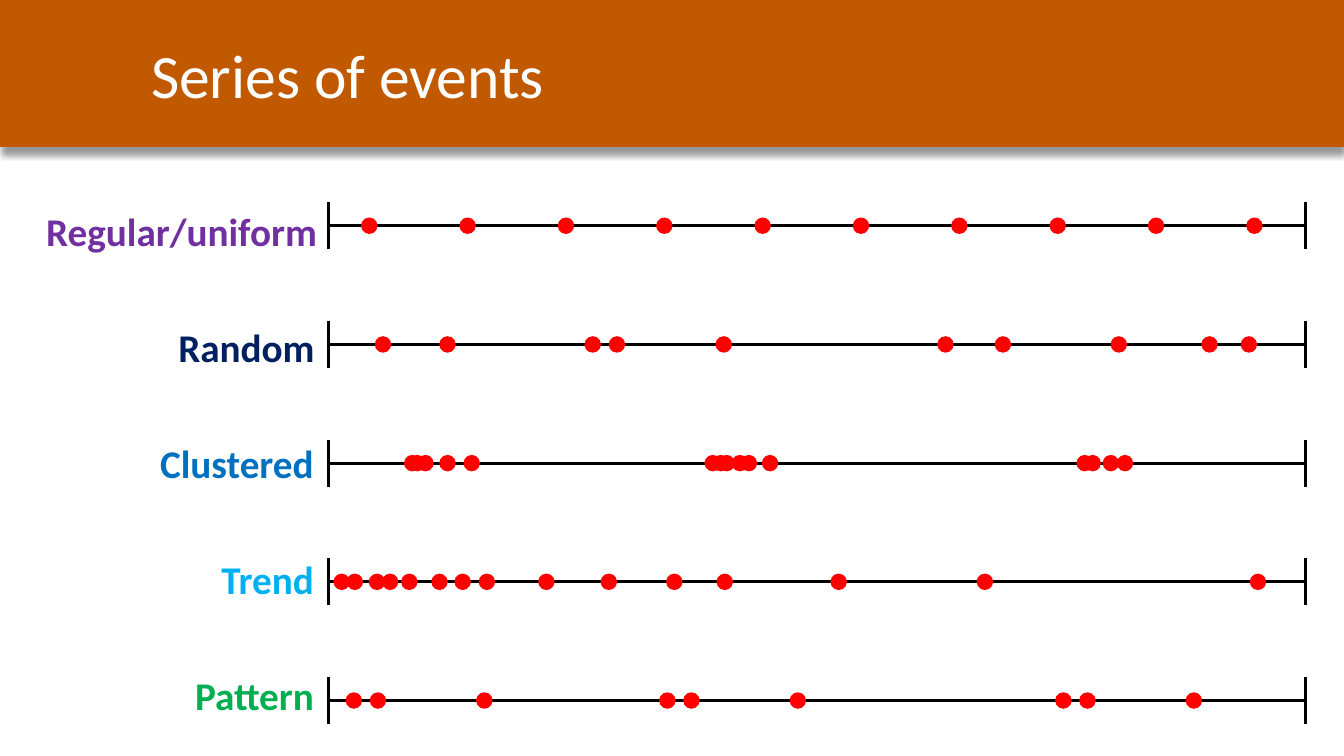
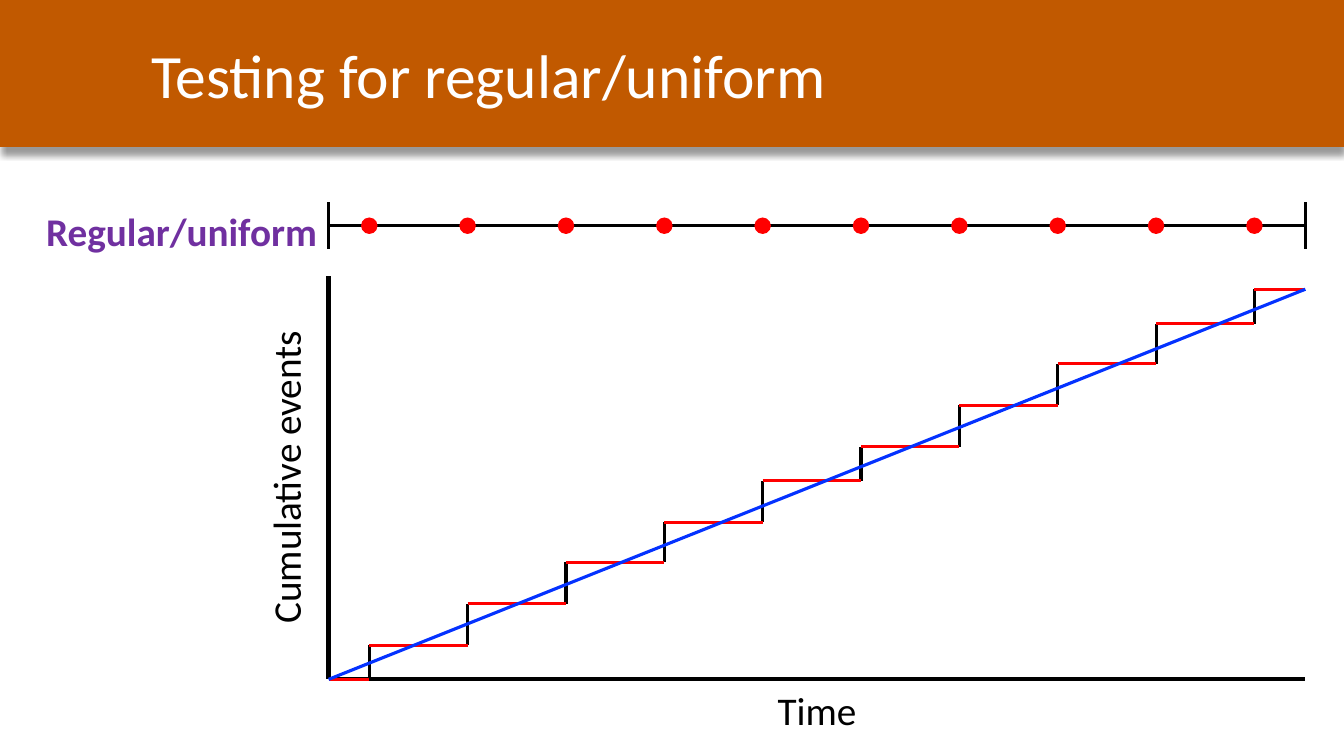
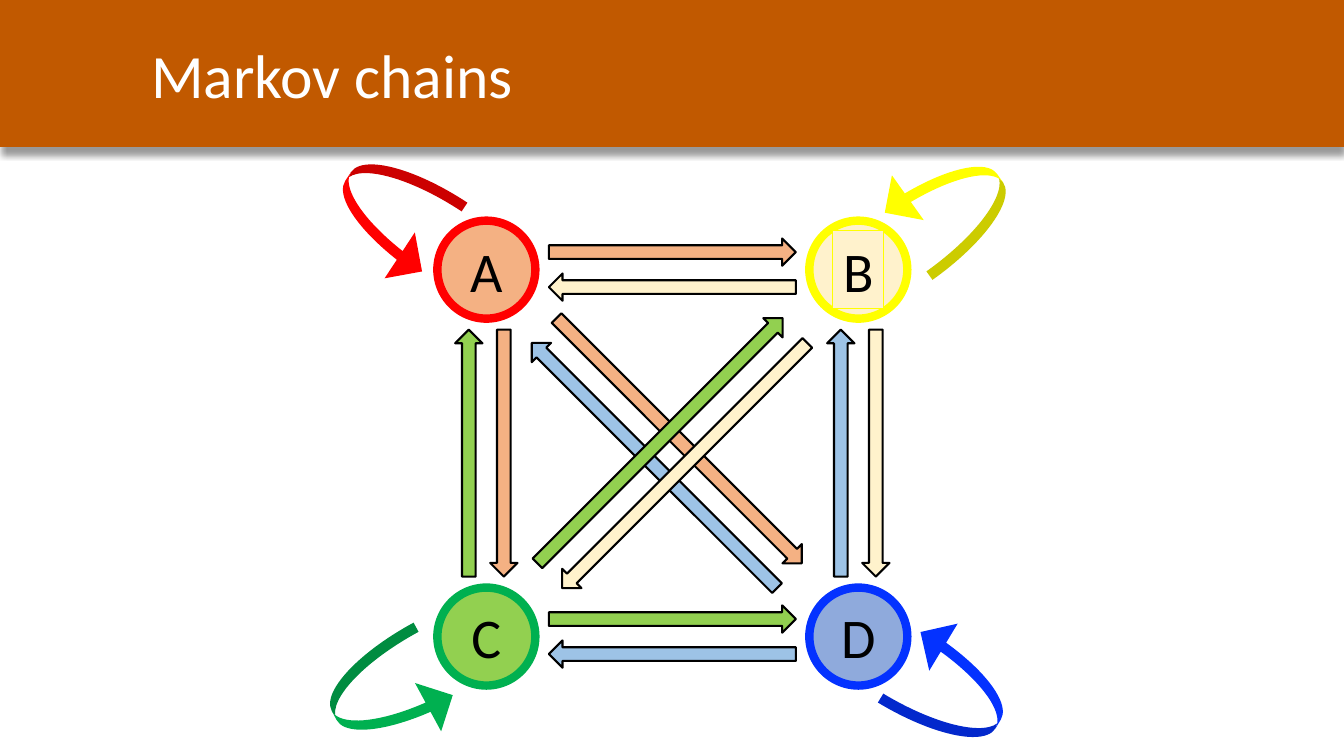
"""Build three slides on series of events and Markov chains."""

import itertools
import math
from dataclasses import dataclass
from typing import Optional

import lxml.etree
import pptx
import pptx.dml.color
import pptx.enum.shapes
import pptx.enum.text
import pptx.oxml.ns
import pptx.util

Pt = pptx.util.Pt
RGB = pptx.dml.color.RGBColor
Preset = pptx.enum.shapes.MSO_SHAPE
Align = pptx.enum.text.PP_ALIGN
qn = pptx.oxml.ns.qn

FONT = "Calibri"
BLACK = RGB(0x00, 0x00, 0x00)
WHITE = RGB(0xFF, 0xFF, 0xFF)
ORANGE = RGB(0xC1, 0x59, 0x00)
RED = RGB(0xFF, 0x00, 0x00)
BLUE = RGB(0x04, 0x32, 0xFF)
YELLOW = RGB(0xFF, 0xFF, 0x00)
GREEN = RGB(0x00, 0xB0, 0x50)
PURPLE = RGB(0x70, 0x30, 0xA0)
NAVY = RGB(0x00, 0x20, 0x60)
MID_BLUE = RGB(0x00, 0x70, 0xC0)
SKY = RGB(0x00, 0xB0, 0xF0)
PEACH = RGB(0xF4, 0xB1, 0x83)
CREAM = RGB(0xFF, 0xF2, 0xCC)
LIME = RGB(0x92, 0xD0, 0x50)
PERIWINKLE = RGB(0x8F, 0xAA, 0xDC)
PALE_BLUE = RGB(0x9D, 0xC3, 0xE6)

SLIDE_WIDTH, SLIDE_HEIGHT = 960, 540
TIME_START, TIME_END = 234.72, 932.4
TRACK_TOP, TRACK_STEP = 161.28, 84.78
LABEL_TOP, LABEL_STEP, LABEL_HEIGHT = 144.72, 82.8, 41.04
TICK_HALF, DOT_SIZE = 16.7, 11.8
AXIS_TOP, AXIS_BOTTOM = 197.28, 485.28
LEVELS = (AXIS_BOTTOM, 460.8, 431.3, 401.8, 373, 343.4, 319, 289.4, 259.9, 231.1, 206.6)
NODE_SIZE, LETTER_HEIGHT = 70, 55.4
LEFT_X, RIGHT_X, UPPER_Y, LOWER_Y = 347.4, 613.1, 192.6, 454.7
ARROW_WIDTH, SIDE_ARROW, DIAGONAL_ARROW, ARROW_OFFSET = 19.5, 176.4, 247.7, 12.5
LOOP_WIDTH, LOOP_HEIGHT = 81.4, 78.5


@dataclass(frozen=True)
class Series:
    """A named series with its label box and event times."""

    name: str
    color: RGB
    label_left: float
    label_width: float
    events: tuple[float, ...]


@dataclass(frozen=True)
class State:
    """A Markov state with its colours and its loop arrow."""

    name: str
    x: float
    y: float
    fill: RGB
    ring: RGB
    arrow: RGB
    letter_width: float
    loop_left: float
    loop_top: float
    loop_rotation: float
    letter_boxed: bool = False


@dataclass(frozen=True)
class Link:
    """Two states joined by a pair of opposite arrows."""

    first: str
    second: str
    length: float
    shift: float = 0


REGULAR = Series("Regular/uniform", PURPLE, 24.48, 210.24,
                 tuple(263.8 + 70.25 * i for i in range(10)))
SERIES = (
    REGULAR,
    Series("Random", NAVY, 119.5, 113,
           (273.6, 319.7, 423.4, 440.7, 517, 675.4, 716.4, 799.2, 864, 892.1)),
    Series("Clustered", MID_BLUE, 106.6, 125.3,
           (294.5, 298.1, 303.9, 319.7, 337, 509.1, 514.8, 519.2, 528.5, 535, 550.1,
            774.8, 780.5, 793.5, 803.6)),
    Series("Trend", SKY, 150.5, 81.4,
           (244.1, 253.5, 269.3, 278.7, 292.4, 314, 330.5, 347.8, 390.3, 434.9, 481.7,
            517.7, 599.1, 703.5, 898.6)),
    Series("Pattern", GREEN, 131, 101.5,
           tuple(start + gap for start in (252.8, 476.7, 759.6) for gap in (0, 17.2, 93.2))),
)

STATES = (
    State("A", LEFT_X, UPPER_Y, PEACH, RED, PEACH, 38.2, 237.6, 115.9, 33.4),
    State("B", RIGHT_X, UPPER_Y, CREAM, YELLOW, CREAM, 36.7, 635.8, 105.1, 144.6, True),
    State("C", LEFT_X, LOWER_Y, LIME, GREEN, LIME, 36, 237.6, 459.4, 331.6),
    State("D", RIGHT_X, LOWER_Y, PERIWINKLE, BLUE, PALE_BLUE, 39.6, 641.5, 450, 211.1),
)
LINKS = (
    Link("C", "D", SIDE_ARROW),
    Link("A", "C", SIDE_ARROW),
    Link("B", "D", SIDE_ARROW),
    Link("A", "B", SIDE_ARROW),
    Link("A", "D", DIAGONAL_ARROW, -4),
    Link("B", "C", DIAGONAL_ARROW),
)


def add_figure(slide, preset, left: float, top: float, width: float, height: float,
               fill: RGB, line: Optional[RGB] = None, line_width: float = 1.5):
    """Add a flat preset shape with an optional outline."""
    figure = slide.shapes.add_shape(preset, Pt(left), Pt(top), Pt(width), Pt(height))
    figure.shadow.inherit = False
    figure.fill.solid()
    figure.fill.fore_color.rgb = fill
    if line is None:
        figure.line.fill.background()
    else:
        figure.line.color.rgb = line
        figure.line.width = Pt(line_width)
    return figure


def add_line(slide, x1: float, y1: float, x2: float, y2: float,
             color: RGB = BLACK, width: float = 2.25) -> None:
    """Add a straight line without a shadow."""
    line = slide.shapes.add_connector(
        pptx.enum.shapes.MSO_CONNECTOR.STRAIGHT, Pt(x1), Pt(y1), Pt(x2), Pt(y2))
    line.line.color.rgb = color
    line.line.width = Pt(width)
    lxml.etree.SubElement(line._element.spPr, qn("a:effectLst"))


def add_text(slide, text: str, left: float, top: float, width: float, height: float,
             size: float = 28, color: RGB = BLACK, bold: bool = False,
             align=Align.CENTER, wrap: bool = False):
    """Add a one-paragraph text box."""
    box = slide.shapes.add_textbox(Pt(left), Pt(top), Pt(width), Pt(height))
    box.text_frame.word_wrap = wrap
    box.text_frame.vertical_anchor = pptx.enum.text.MSO_ANCHOR.MIDDLE
    paragraph = box.text_frame.paragraphs[0]
    paragraph.alignment = align
    run = paragraph.add_run()
    run.text = text
    run.font.name = FONT
    run.font.size = Pt(size)
    run.font.bold = bold
    run.font.color.rgb = color
    return box


def add_titled_slide(deck, title: str):
    """Add a blank slide with the shared title band."""
    slide = deck.slides.add_slide(deck.slide_layouts[6])
    band = add_figure(slide, Preset.RECTANGLE, 0, 0, SLIDE_WIDTH, 105, ORANGE)
    effects = band._element.spPr.find(qn("a:effectLst"))
    shadow = lxml.etree.SubElement(
        effects, qn("a:outerShdw"), blurRad=str(Pt(4)), dist=str(Pt(6)),
        dir="5400000", rotWithShape="0")
    shade = lxml.etree.SubElement(shadow, qn("a:srgbClr"), val=str(BLACK))
    lxml.etree.SubElement(shade, qn("a:alpha"), val="40000")
    add_text(slide, title, 100.8, 8.64, 859.2, 87.84, 44, WHITE, align=Align.LEFT, wrap=True)
    return slide


def add_series(slide, series: Series, row: int = 0) -> None:
    """Draw a labelled timeline with its events."""
    y = TRACK_TOP + row * TRACK_STEP
    add_text(slide, series.name, series.label_left, LABEL_TOP + row * LABEL_STEP,
             series.label_width, LABEL_HEIGHT, color=series.color, bold=True)
    add_line(slide, TIME_START, y, TIME_END, y)
    for x in (TIME_START, TIME_END):
        add_line(slide, x, y - TICK_HALF, x, y + TICK_HALF)
    for x in series.events:
        add_figure(slide, Preset.OVAL, x - DOT_SIZE / 2, y - DOT_SIZE / 2,
                   DOT_SIZE, DOT_SIZE, RED)


def add_cumulative_plot(slide, events: tuple[float, ...]) -> None:
    """Draw the staircase of events against the uniform line."""
    add_line(slide, TIME_START, AXIS_TOP, TIME_START, AXIS_BOTTOM, width=3)
    add_line(slide, TIME_START, AXIS_BOTTOM, TIME_END, AXIS_BOTTOM, width=3)
    for x, (low, high) in zip(events, itertools.pairwise(LEVELS)):
        add_line(slide, x, high, x, low)
    times = (TIME_START, *events, TIME_END)
    for (start, end), level in zip(itertools.pairwise(times), LEVELS):
        add_line(slide, start, level, end, level, RED)
    add_line(slide, TIME_START, AXIS_BOTTOM, TIME_END, LEVELS[-1], BLUE)
    count_label = add_text(slide, "Cumulative events", 59.76, 320.4, 288, LABEL_HEIGHT, wrap=True)
    count_label.rotation = 270
    add_text(slide, "Time", TIME_START, 486.72, TIME_END - TIME_START, LABEL_HEIGHT, wrap=True)


def add_state(slide, state: State) -> None:
    """Draw a state circle, its letter and its loop arrow."""
    add_figure(slide, Preset.OVAL, state.x - NODE_SIZE / 2, state.y - NODE_SIZE / 2,
               NODE_SIZE, NODE_SIZE, state.fill, state.ring, 6)
    letter = add_text(slide, state.name, state.x - state.letter_width / 2,
                      state.y - LETTER_HEIGHT / 2, state.letter_width, LETTER_HEIGHT, 40)
    if state.letter_boxed:
        letter.fill.solid()
        letter.fill.fore_color.rgb = state.fill
        letter.line.color.rgb = state.ring
        letter.line.width = Pt(0.75)
    loop = add_figure(slide, Preset.CURVED_RIGHT_ARROW, state.loop_left, state.loop_top,
                      LOOP_WIDTH, LOOP_HEIGHT, state.ring)
    loop.rotation = state.loop_rotation
    for index, value in enumerate((0.095, 0.5, 0.25)):
        loop.adjustments[index] = value


def add_transition(slide, tail: State, head: State, link: Link) -> None:
    """Draw an arrow to the left of the way from tail to head."""
    angle = round(math.degrees(math.atan2(head.x - tail.x, tail.y - head.y)) / 45) * 45
    heading = math.radians(angle)
    x = (tail.x + head.x) / 2 + link.shift - ARROW_OFFSET * math.cos(heading)
    y = (tail.y + head.y) / 2 - ARROW_OFFSET * math.sin(heading)
    arrow = add_figure(slide, Preset.UP_ARROW, x - ARROW_WIDTH / 2, y - link.length / 2,
                       ARROW_WIDTH, link.length, tail.arrow, BLACK)
    arrow.rotation = angle % 360


def main() -> None:
    """Build and save the deck."""
    deck = pptx.Presentation()
    deck.slide_width, deck.slide_height = Pt(SLIDE_WIDTH), Pt(SLIDE_HEIGHT)

    overview = add_titled_slide(deck, "Series of events")
    for row, series in enumerate(SERIES):
        add_series(overview, series, row)

    uniform_test = add_titled_slide(deck, "Testing for regular/uniform")
    add_series(uniform_test, REGULAR)
    add_cumulative_plot(uniform_test, REGULAR.events)

    markov = add_titled_slide(deck, "Markov chains")
    states = {state.name: state for state in STATES}
    for state in STATES:
        add_state(markov, state)
    for link in LINKS:
        first, second = states[link.first], states[link.second]
        add_transition(markov, first, second, link)
        add_transition(markov, second, first, link)

    deck.save("out.pptx")


if __name__ == "__main__":
    main()
